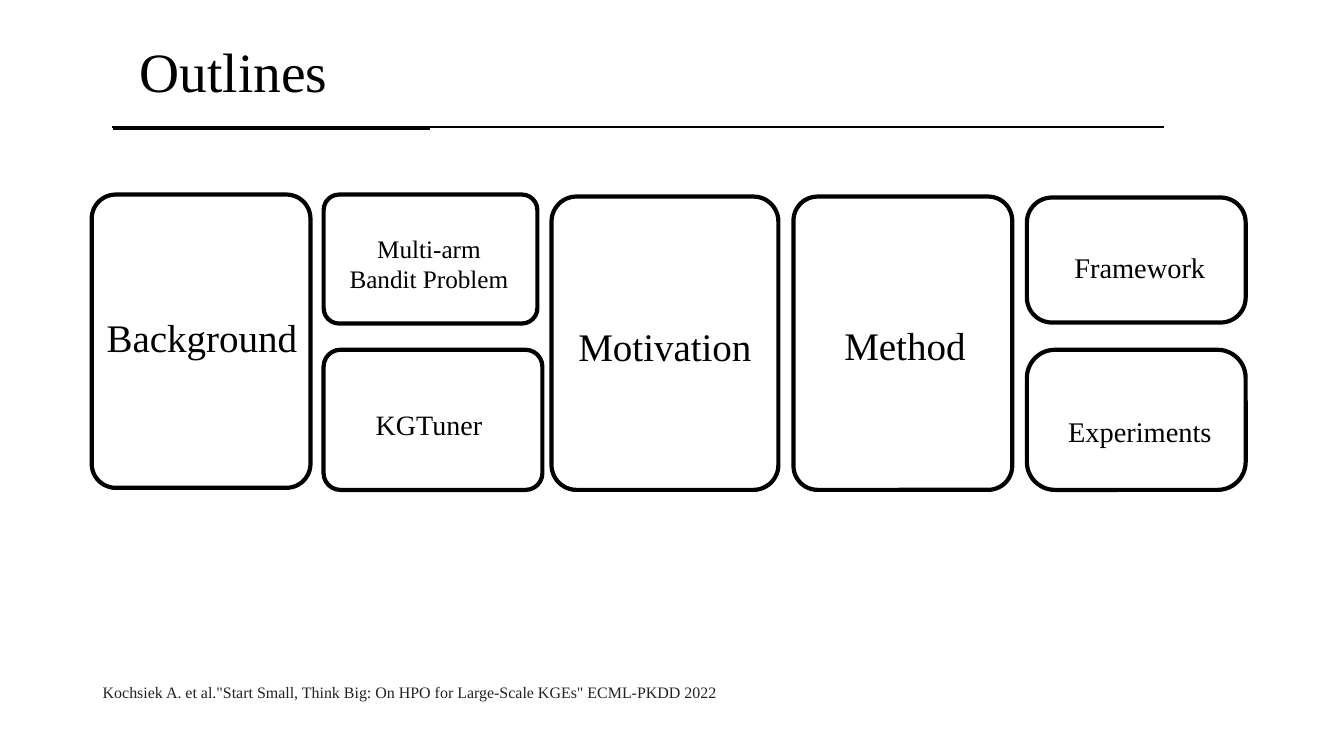
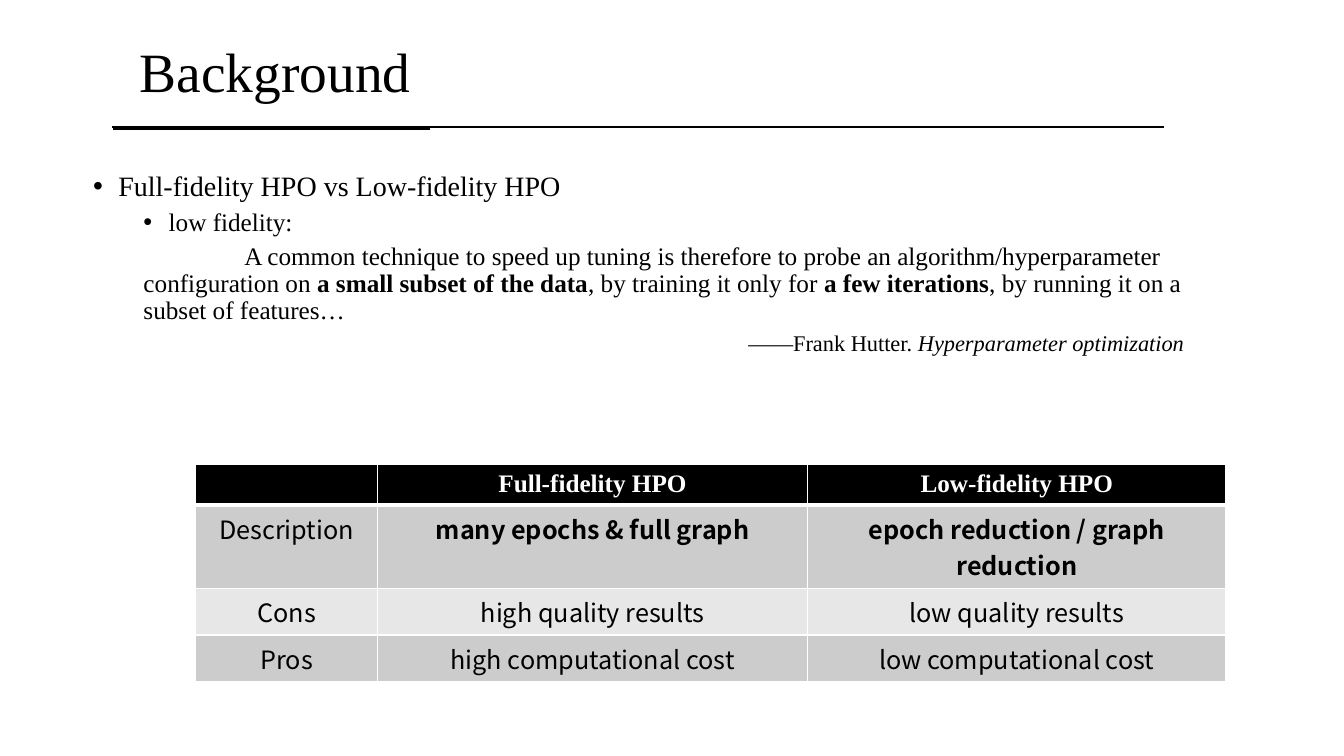
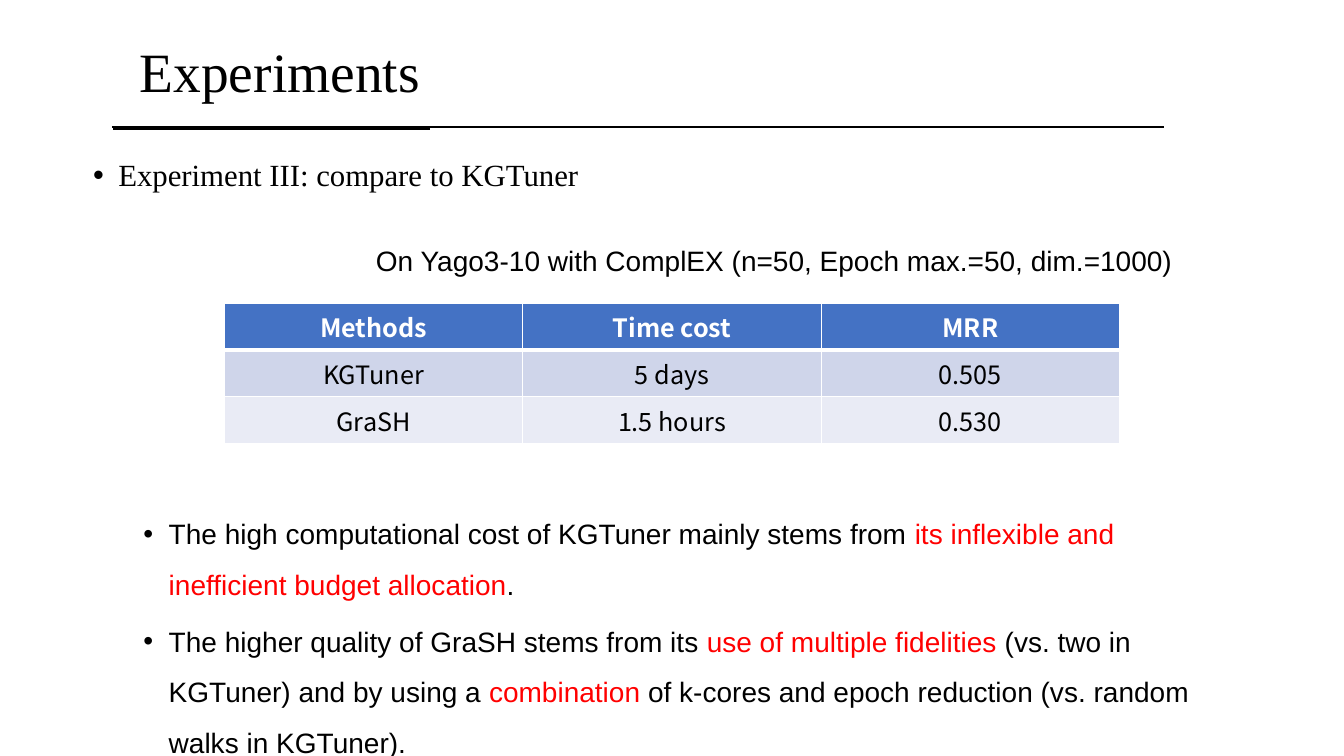
from dataclasses import dataclass, field
from typing import Any, NamedTuple

from lxml.etree import SubElement
from pptx import Presentation
from pptx.dml.color import RGBColor
from pptx.enum.shapes import MSO_CONNECTOR, MSO_SHAPE
from pptx.enum.text import MSO_ANCHOR, PP_ALIGN
from pptx.oxml.ns import qn
from pptx.slide import Slide
from pptx.util import Inches, Length, Pt

BLACK = RGBColor(0x00, 0x00, 0x00)
WHITE = RGBColor(0xFF, 0xFF, 0xFF)
RED = RGBColor(0xFF, 0x00, 0x00)
INK = RGBColor(0x22, 0x22, 0x22)
BLUE = RGBColor(0x44, 0x72, 0xC4)
BLUE_BANDS = (RGBColor(0xCF, 0xD5, 0xEA), RGBColor(0xE9, 0xEB, 0xF5))
GREY_BANDS = (RGBColor(0xCC, 0xCC, 0xCC), RGBColor(0xE7, 0xE7, 0xE7))

SERIF = "Times New Roman"
SANS = "Arial"
TABLE_FONT = "Noto Sans CJK SC"
TABLE_SIZE = 18
MODULE = 0.1  # inches in one grid step


def steps(count: float) -> Length:
    return Inches(count * MODULE)


class Area(NamedTuple):
    """A rectangle in grid steps."""
    column: float
    row: float
    columns: float
    rows: float

    def lengths(self) -> tuple[Length, ...]:
        return tuple(steps(count) for count in self)


@dataclass(frozen=True)
class Span:
    text: str
    style: dict[str, Any] = field(default_factory=dict)


@dataclass(frozen=True)
class Para:
    spans: tuple[Span, ...]
    size: float
    font: str = SERIF
    color: RGBColor = BLACK
    align: PP_ALIGN = PP_ALIGN.LEFT
    spacing: float = 1.0
    before: float = 0
    margin: float = 0
    indent: float = 0
    bullet: bool = False


@dataclass(frozen=True)
class Card:
    frame: Area
    corner: float
    label_area: Area
    label: str
    size: float
    align: PP_ALIGN = PP_ALIGN.CENTER
    spacing: float = 1.0


@dataclass(frozen=True)
class Grid:
    area: Area
    widths: tuple[float, ...]
    heights: tuple[float, ...]
    rows: tuple[tuple[str, ...], ...]
    header_fill: RGBColor
    bands: tuple[RGBColor, RGBColor]
    header_font: str = TABLE_FONT
    bold: frozenset[str] = frozenset()


class Rule(NamedTuple):
    start: float
    end: float
    row: float
    weight: float


TITLE_RULES = (Rule(11.1, 115.45, 12.6, 1), Rule(11.2, 42.6, 12.7, 2.25))

TALL, SHORT = 29.1, 13.9
CARDS = (
    Card(Area(9.1, 19.3, 21.7, TALL), 0.11, Area(9.6, 30.6, 21.7, 5.7),
         "Background", 27.9, align=PP_ALIGN.LEFT),
    Card(Area(32.1, 19.3, 21.2, 12.8), 0.12, Area(33.4, 22.65, 18.3, 7.1),
         "Multi-arm Bandit Problem", 18),
    Card(Area(32.1, 34.7, 21.7, SHORT), 0.12, Area(33.4, 39.3, 18.3, 4.8),
         "KGTuner", 20, spacing=1.2),
    Card(Area(54.7, 19.5, 22.5, TALL), 0.11, Area(54.7, 31.5, 22.5, 5.7),
         "Motivation", 27.9),
    Card(Area(78.7, 19.5, 21.7, TALL), 0.11, Area(80.2, 31.4, 19.1, 5.7),
         "Method", 27.9),
    Card(Area(101.85, 19.6, 21.7, 12.4), 0.2, Area(103.9, 24.3, 18.3, 4.4),
         "Framework", 20.3),
    Card(Area(101.85, 34.7, 21.7, SHORT), 0.2, Area(103.9, 40.6, 18.3, 4.4),
         "Experiments", 20.3),
)
CITATION = Para((Span('Kochsiek A. et al."Start Small, Think Big: On HPO for '
                      'Large-Scale KGEs"\u00a0ECML-PKDD 2022'),),
                11.4, color=INK)

BOLD = {"bold": True}
FIDELITY_TEXT = (
    Para((Span("Full-fidelity HPO vs Low-fidelity HPO"),), 20, spacing=0.9,
         before=10, margin=0.25, indent=-0.25, bullet=True),
    Para((Span("low fidelity:"),), 18, spacing=0.9, before=5,
         margin=0.75, indent=-0.25, bullet=True),
    Para((Span("A common technique to speed up tuning is therefore to probe an "
               "algorithm/hyperparameter configuration on "),
          Span("a small subset of the data", BOLD),
          Span(", by training it only for "),
          Span("a few iterations", BOLD),
          Span(", by running it on a subset of features…")),
         18, spacing=0.9, before=5, margin=0.5, indent=1),
    Para((Span("——Frank Hutter. "),
          Span("Hyperparameter optimization", {"italic": True})),
         16, spacing=0.9, before=5, margin=6.5),
)
FIDELITY_TABLE = Grid(
    Area(19.4, 46.1, 102.2, 21.2), (18.05, 42.65, 41.5), (3.7, 8.3, 4.6, 4.6),
    (("", "Full-fidelity HPO", "Low-fidelity HPO"),
     ("Description", "many epochs & full graph",
      "epoch reduction / graph reduction"),
     ("Cons", "high quality results", "low quality results"),
     ("Pros", "high computational cost", "low computational cost")),
    BLACK, GREY_BANDS, SERIF,
    frozenset({"many epochs & full graph", "epoch reduction / graph reduction"}),
)

HIGHLIGHT = {"color": RED}
FINDING = dict(size=20, font=SANS, spacing=1.5, before=5,
               margin=0.75, indent=-0.25, bullet=True)
COMPARISON_HEADING = Para((Span("Experiment III: compare to KGTuner"),), 22,
                          spacing=0.9, before=10, margin=0.25, indent=-0.25,
                          bullet=True)
COMPARISON_CAPTION = Para(
    (Span("On Yago3-10 with ComplEX (n=50, Epoch max.=50, dim.=1000)"),),
    20, SANS, spacing=0.9)
FINDINGS = (
    Para((Span("The high computational cost of KGTuner mainly stems from "),
          Span("its inflexible and inefficient budget allocation", HIGHLIGHT),
          Span(".")), **FINDING),
    Para((Span("The higher quality of GraSH stems from its "),
          Span("use of multiple fidelities ", HIGHLIGHT),
          Span("(vs. two in KGTuner) and by using a "),
          Span("combination", HIGHLIGHT),
          Span(" of k-cores and epoch reduction (vs. random walks in KGTuner).")),
         **FINDING),
)
COMPARISON_TABLE = Grid(
    Area(22.25, 30.1, 88.8, 13.89), (29.6,) * 3, (4.63,) * 3,
    (("Methods", "Time cost", "MRR"),
     ("KGTuner", "5 days", "0.505"),
     ("GraSH", "1.5 hours", "0.530")),
    BLUE, BLUE_BANDS,
)


def fill_para(target: Any, para: Para) -> None:
    layout = {"alignment": para.align, "line_spacing": para.spacing,
              "space_before": Pt(para.before)}
    for name, value in layout.items():
        setattr(target, name, value)
    properties = target._p.get_or_add_pPr()
    properties.set("marL", str(Inches(para.margin)))
    properties.set("indent", str(Inches(para.indent)))
    if para.bullet:
        SubElement(properties, qn("a:buFont")).set("typeface", SANS)
        SubElement(properties, qn("a:buChar")).set("char", "•")
    for span in para.spans:
        run = target.add_run()
        run.text = span.text
        style = {"name": para.font, "size": Pt(para.size),
                 "color": para.color, **span.style}
        run.font.color.rgb = style.pop("color")
        for name, value in style.items():
            setattr(run.font, name, value)


def set_empty_height(target: Any, font: str, size: float) -> None:
    """Give a paragraph without text the line height of a font."""
    end = SubElement(target._p, qn("a:endParaRPr"), sz=str(round(size * 100)))
    for script in ("latin", "ea", "cs"):
        SubElement(end, qn(f"a:{script}"), typeface=font)


def add_text(page: Slide, area: Area, *paras: Para,
             anchor: MSO_ANCHOR = MSO_ANCHOR.TOP, wrap: bool = True) -> None:
    frame = page.shapes.add_textbox(*area.lengths()).text_frame
    frame.word_wrap = wrap
    frame.vertical_anchor = anchor
    for index, para in enumerate(paras):
        fill_para(frame.add_paragraph() if index else frame.paragraphs[0], para)


def add_rule(page: Slide, rule: Rule) -> None:
    line = page.shapes.add_connector(
        MSO_CONNECTOR.STRAIGHT, steps(rule.start), steps(rule.row),
        steps(rule.end), steps(rule.row))
    line.line.color.rgb = BLACK
    line.line.width = Pt(rule.weight)
    SubElement(line._element.spPr, qn("a:effectLst"))


def add_page(deck: Any, title: str, title_columns: float) -> Slide:
    """Add a blank slide with the shared title and its two rules."""
    page = deck.slides.add_slide(deck.slide_layouts[6])
    add_text(page, Area(12.87, 4.1, title_columns, 6.6),
             Para((Span(title),), 39.6, spacing=0.9),
             anchor=MSO_ANCHOR.MIDDLE, wrap=False)
    for rule in TITLE_RULES:
        add_rule(page, rule)
    return page


def add_card(page: Slide, card: Card) -> None:
    shape = page.shapes.add_shape(MSO_SHAPE.ROUNDED_RECTANGLE,
                                  *card.frame.lengths())
    shape.adjustments[0] = card.corner
    shape.shadow.inherit = False
    shape.fill.background()
    shape.line.color.rgb = BLACK
    shape.line.width = Pt(3)
    add_text(page, card.label_area,
             Para((Span(card.label),), card.size, align=card.align,
                  spacing=card.spacing))


def add_borders(cell: Any, top: float, bottom: float) -> None:
    properties = cell._tc.get_or_add_tcPr()
    for side, weight in {"L": 1, "R": 1, "T": top, "B": bottom}.items():
        line = SubElement(properties, qn(f"a:ln{side}"), w=str(Pt(weight)))
        fill = SubElement(line, qn("a:solidFill"))
        SubElement(fill, qn("a:srgbClr"), val=str(WHITE))


def add_grid(page: Slide, grid: Grid) -> None:
    table = page.shapes.add_table(len(grid.heights), len(grid.widths),
                                  *grid.area.lengths()).table
    for column, width in zip(table.columns, grid.widths):
        column.width = steps(width)
    for row, height in zip(table.rows, grid.heights):
        row.height = steps(height)
    for row_index, texts in enumerate(grid.rows):
        header = row_index == 0
        font = grid.header_font if header else TABLE_FONT
        for column_index, text in enumerate(texts):
            cell = table.cell(row_index, column_index)
            add_borders(cell, top=3 if row_index == 1 else 1,
                        bottom=3 if header else 1)
            cell.fill.solid()
            cell.fill.fore_color.rgb = (grid.header_fill if header
                                        else grid.bands[(row_index - 1) % 2])
            target = cell.text_frame.paragraphs[0]
            if not text:
                set_empty_height(target, font, TABLE_SIZE)
                continue
            span = Span(text, {"bold": header or text in grid.bold})
            fill_para(target, Para((span,), TABLE_SIZE, font,
                                   WHITE if header else BLACK,
                                   PP_ALIGN.CENTER))


def build_outlines(deck: Any) -> None:
    page = add_page(deck, "Outlines", 26.5)
    for card in CARDS:
        add_card(page, card)
    add_text(page, Area(9.2, 67.2, 116.8, 2.9), CITATION)


def build_background(deck: Any) -> None:
    page = add_page(deck, "Background", 29.7)
    add_text(page, Area(8.25, 16.6, 115, 25), *FIDELITY_TEXT)
    add_grid(page, FIDELITY_TABLE)


def build_experiments(deck: Any) -> None:
    page = add_page(deck, "Experiments", 33.5)
    add_text(page, Area(8.25, 15.35, 115, 5), COMPARISON_HEADING)
    add_text(page, Area(36.3, 24, 86.9, 4.5), COMPARISON_CAPTION)
    add_grid(page, COMPARISON_TABLE)
    add_text(page, Area(8.25, 49.1, 115, 25.9), *FINDINGS)


def main() -> None:
    deck = Presentation()
    deck.slide_width, deck.slide_height = Inches(13.33), Inches(7.5)
    for build in (build_outlines, build_background, build_experiments):
        build(deck)
    deck.save("out.pptx")


if __name__ == "__main__":
    main()
